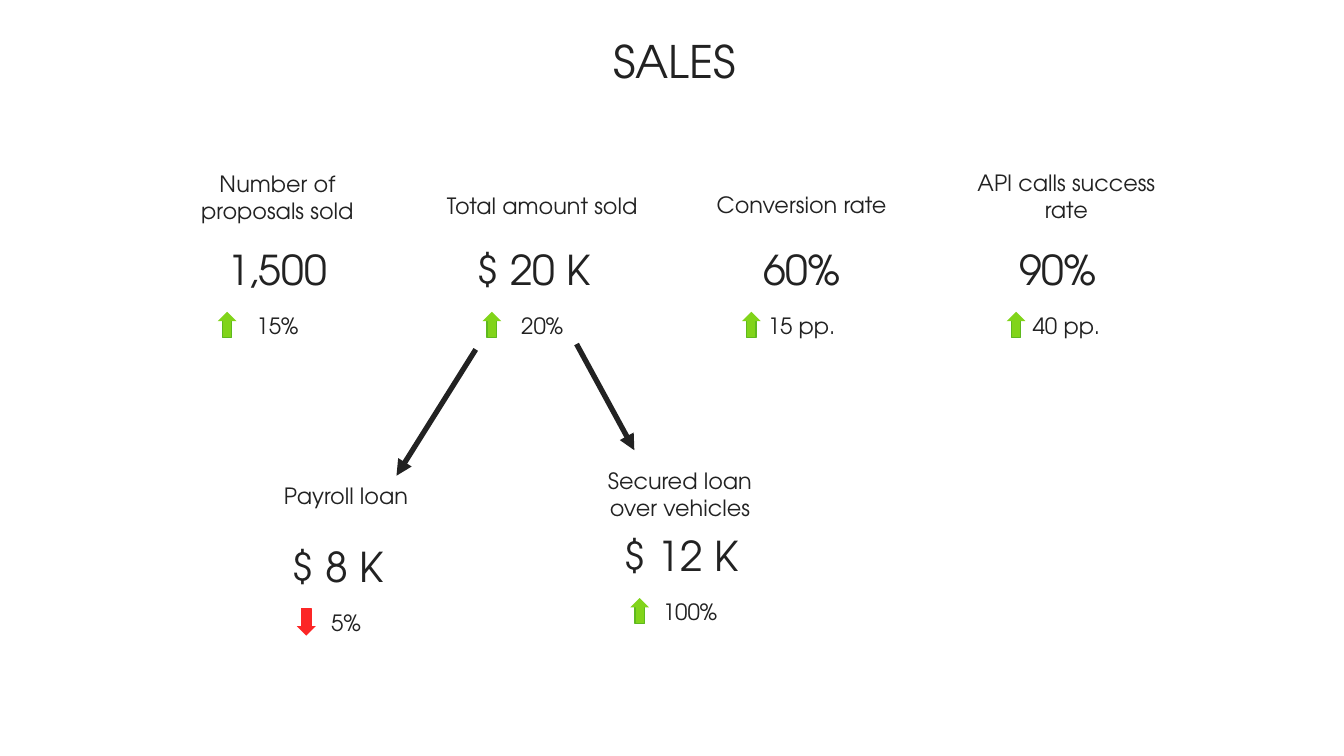
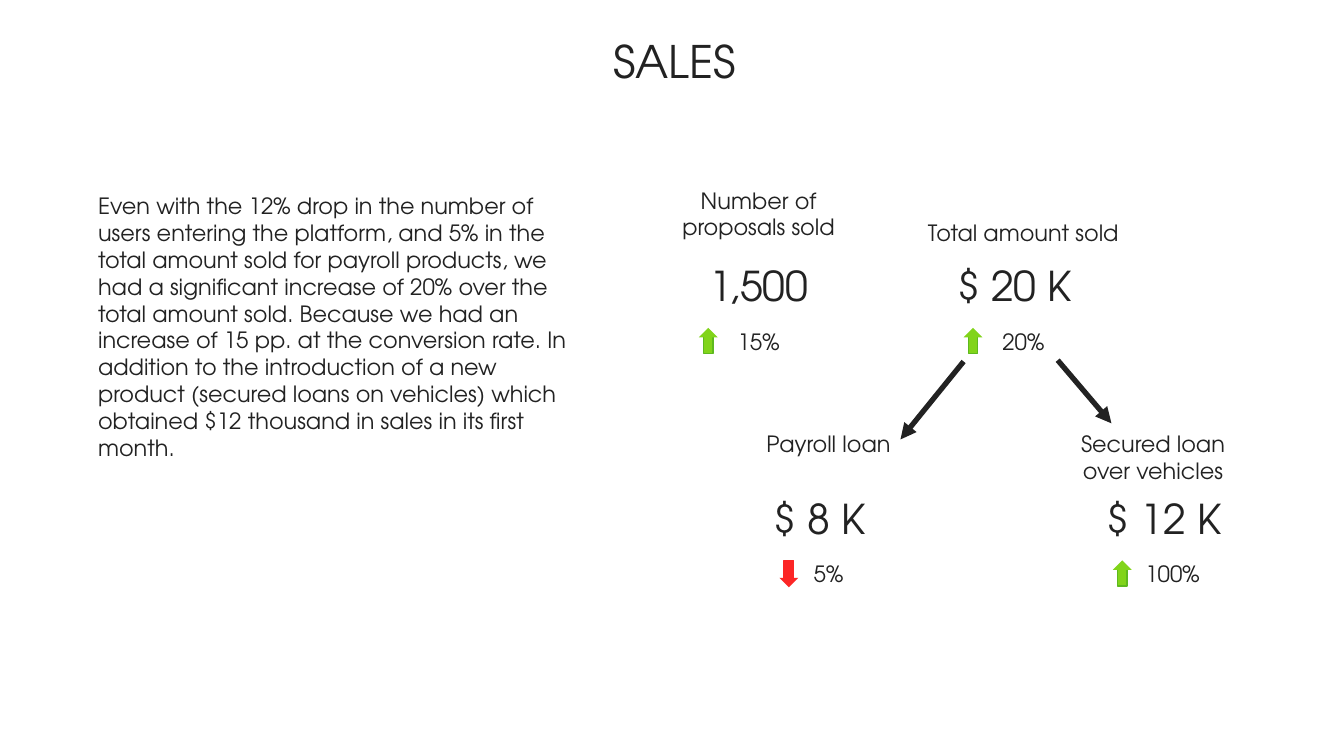
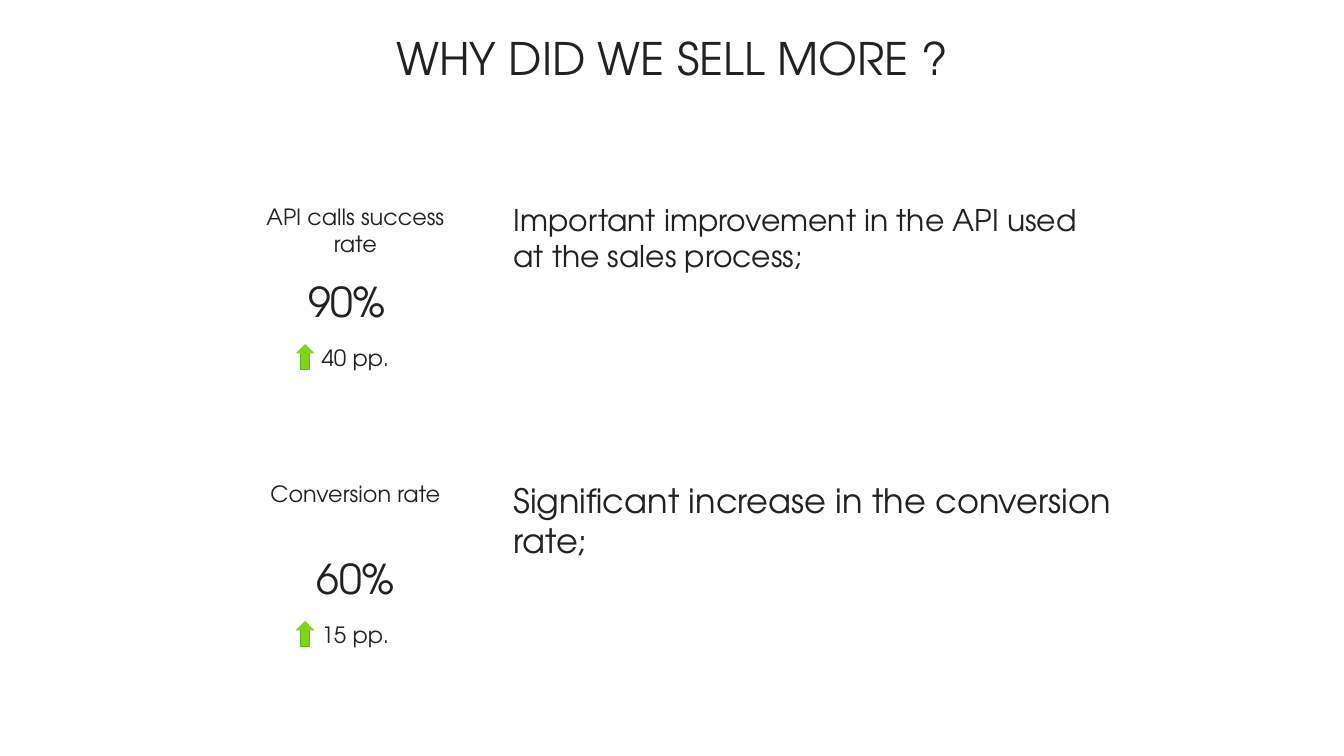
from dataclasses import dataclass, replace

from lxml.etree import SubElement
from pptx import Presentation
from pptx.dml.color import RGBColor
from pptx.enum.shapes import MSO_CONNECTOR, MSO_SHAPE
from pptx.enum.text import MSO_ANCHOR, MSO_AUTO_SIZE, PP_ALIGN
from pptx.oxml.ns import qn
from pptx.util import Inches, Pt


@dataclass(frozen=True)
class Theme:
    font: str = "TeX Gyre Adventor"
    ink: RGBColor = RGBColor(0x22, 0x22, 0x22)
    up: RGBColor = RGBColor(0x81, 0xD4, 0x1A)
    up_edge: RGBColor = RGBColor(0x5E, 0xB9, 0x1E)
    down: RGBColor = RGBColor(0xFC, 0x26, 0x26)
    title: int = 24
    value: int = 22
    text: int = 12
    reason: int = 16
    large_reason: int = 18
    connector: float = 2.83


@dataclass(frozen=True)
class Metric:
    label: str
    value: str
    change: str
    rising: bool = True
    value_shift: float = 0       # value box against the metric's left edge
    value_width: float = 1.77
    label_shift: float = 0
    label_width: float = 1.77
    arrow_shift: float = 0.44


THEME = Theme()
WIDE = {"value_shift": -0.16, "value_width": 1.96}

PROPOSALS = Metric("Number of proposals sold", "1,500", "15%")
AMOUNT = Metric("Total amount sold", "$ 20 K", "20%", **WIDE)
CONVERSION = Metric("Conversion rate", "60%", "15 pp.")
API_CALLS = Metric("API calls success rate", "90%", "40 pp.", **WIDE)
PAYROLL = Metric("Payroll loan", "$ 8 K", "5%", rising=False,
                 arrow_shift=0.52, **WIDE)
SECURED = Metric("Secured loan\nover vehicles", "$ 12 K", "100%",
                 label_shift=-0.31, label_width=2.24, **WIDE)


# Text
def write(shape, text, size, align=PP_ALIGN.CENTER, anchor=MSO_ANCHOR.TOP):
    frame = shape.text_frame
    frame.text = text
    frame.word_wrap = True
    frame.auto_size = MSO_AUTO_SIZE.NONE
    frame.vertical_anchor = anchor
    for paragraph in frame.paragraphs:
        paragraph.alignment = align
        paragraph.space_before = Pt(0)
        paragraph.font.name = THEME.font
        paragraph.font.size = Pt(size)
        paragraph.font.color.rgb = THEME.ink


def add_text(slide, box, text, size, anchor=MSO_ANCHOR.TOP):
    shape = slide.shapes.add_textbox(*map(Inches, box))
    write(shape, text, size, anchor=anchor)


def fill_placeholder(shape, box, text, size, align):
    shape.left, shape.top, shape.width, shape.height = map(Inches, box)
    write(shape, text, size, align)


def fill_body(shape, box, text, size):
    fill_placeholder(shape, box, text, size, PP_ALIGN.LEFT)
    for paragraph in shape.text_frame.paragraphs:
        properties = paragraph._p.get_or_add_pPr()
        properties.set("marL", "0")
        properties.set("indent", "0")
        bullet = SubElement(properties, qn("a:buNone"))
        properties.find(qn("a:spcBef")).addnext(bullet)


# Trend arrow: a stem with a triangular head, pointing up or down
def add_trend(slide, left, top, rising):
    width, height, head, stem_length = 0.14, 0.2, 0.07, 0.14
    color = THEME.up if rising else THEME.down
    stem_top = top + 0.05 if rising else top
    tip = top if rising else top + height
    base = top + head if rising else tip - head

    group = slide.shapes.add_group_shape()
    stem = group.shapes.add_shape(
        MSO_SHAPE.RECTANGLE, Inches(left + width / 4), Inches(stem_top),
        Inches(width / 2), Inches(stem_length))
    stem.line.color.rgb = THEME.up_edge if rising else THEME.down
    stem.line.width = Pt(0)

    builder = group.shapes.build_freeform(Inches(left + width / 2), Inches(tip))
    builder.add_line_segments([(Inches(left + width), Inches(base)),
                               (Inches(left), Inches(base))])
    triangle = builder.convert_to_shape()
    triangle.line.fill.background()

    for shape in (stem, triangle):
        shape.shadow.inherit = False
        shape.fill.solid()
        shape.fill.fore_color.rgb = color


# Metric: label above, value at (left, top), change with its arrow below
def add_metric(slide, metric, left, top, label_rise=0.55, label_height=0.55,
               label_anchor=MSO_ANCHOR.TOP):
    add_text(slide, (left + metric.label_shift, top - label_rise,
                     metric.label_width, label_height),
             metric.label, THEME.text, label_anchor)
    add_text(slide, (left + metric.value_shift, top, metric.value_width, 0.51),
             metric.value, THEME.value)
    add_text(slide, (left, top + 0.5, 1.77, 0.32), metric.change, THEME.text)
    add_trend(slide, left + metric.arrow_shift, top + 0.55, metric.rising)


def add_arrow(slide, start, end):
    connector = slide.shapes.add_connector(
        MSO_CONNECTOR.STRAIGHT, *map(Inches, start + end))
    connector.line.color.rgb = THEME.ink
    connector.line.width = Pt(THEME.connector)
    properties = connector._element.spPr
    SubElement(properties.find(qn("a:ln")), qn("a:tailEnd"), type="triangle")
    SubElement(properties, qn("a:effectLst"))


def add_slide(presentation, layout, title, title_box):
    slide = presentation.slides.add_slide(
        presentation.slide_layouts.get_by_name(layout))
    fill_placeholder(slide.shapes.title, title_box, title, THEME.title,
                     PP_ALIGN.CENTER)
    return slide


# Slides
SALES_TITLE = ("SALES", (3.74, 0.2, 2.56, 0.55))


def sales_overview(presentation):
    slide = add_slide(presentation, "Title Only", *SALES_TITLE)
    row = 1.77
    add_metric(slide, PROPOSALS, 1.18, row)
    add_metric(slide, AMOUNT, 3.15, row, 0.39, 0.32)
    add_metric(slide, CONVERSION, 5.08, row, 0.52,
               label_anchor=MSO_ANCHOR.MIDDLE)
    add_metric(slide, API_CALLS, 7.05, row, 0.56)
    # Amount split by product
    add_metric(slide, PAYROLL, 1.69, 3.98, 0.44, 0.32)
    add_metric(slide, SECURED, 4.25, 3.9, 0.47)
    add_arrow(slide, (4.29, 2.56), (4.72, 3.35))
    add_arrow(slide, (3.54, 2.6), (2.95, 3.54))


def sales_comment(presentation):
    slide = add_slide(presentation, "Title and Content", *SALES_TITLE)
    fill_body(
        slide.placeholders[1], (0.63, 1.38, 3.7, 1.77),
        "Even with the 12% drop in the number of users entering the platform, "
        "and 5% in the total amount sold for payroll products, we had a "
        "significant increase of 20% over the total amount sold. Because we "
        "had an increase of 15 pp. at the conversion rate. In addition to the "
        "introduction of a new product (secured loans on vehicles) which "
        "obtained $12 thousand in sales in its first month.", THEME.text)
    add_metric(slide, PROPOSALS, 4.76, 1.89)
    add_metric(slide, AMOUNT, 6.73, 1.89, 0.31, 0.32)
    # Amount split by product
    add_metric(slide, PAYROLL, 5.28, 3.62, 0.47, 0.48)
    add_metric(slide, replace(SECURED, label_shift=-0.36, label_width=2.2),
               7.84, 3.62, 0.47)
    add_arrow(slide, (7.87, 2.68), (8.27, 3.15))
    add_arrow(slide, (7.17, 2.69), (6.7, 3.27))


def sales_reasons(presentation):
    slide = add_slide(presentation, "Two Content", "WHY DID WE SELL MORE ?",
                      (2.35, 0.18, 5.3, 0.55))
    fill_body(slide.placeholders[1], (3.72, 1.45, 4.63, 0.72),
              "Important improvement in the API used at the sales process;",
              THEME.reason)
    fill_body(slide.placeholders[2], (3.72, 3.52, 5, 0.4),
              "Significant increase in the conversion rate;",
              THEME.large_reason)
    add_metric(slide, API_CALLS, 1.76, 2.01)
    add_metric(slide, CONVERSION, 1.76, 4.07)


# Widescreen page, 16:9, without the template's 4:3 mark
presentation = Presentation()
presentation.slide_width = Inches(10)
presentation.slide_height = Inches(10) * 9 // 16
presentation.element.find(qn("p:sldSz")).attrib.pop("type", None)
sales_overview(presentation)
sales_comment(presentation)
sales_reasons(presentation)
presentation.save("out.pptx")
